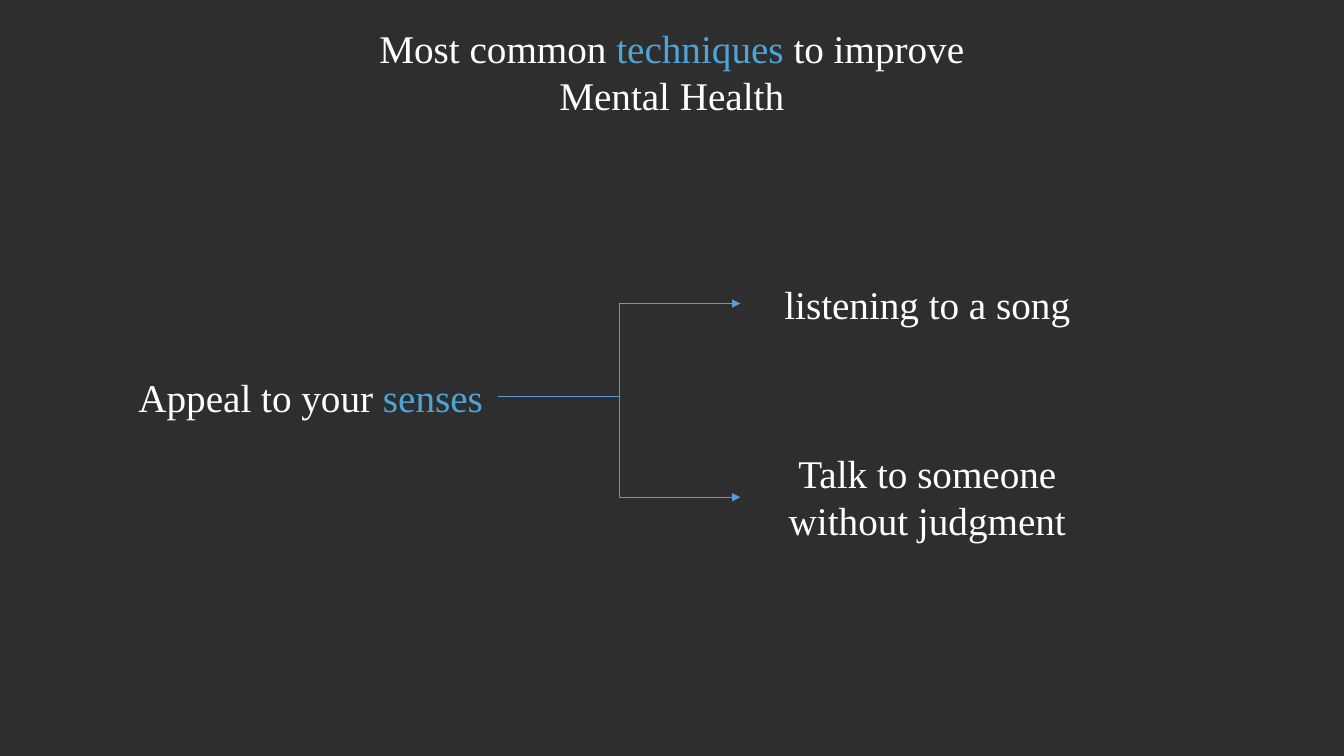
from pptx import Presentation
from pptx.dml.color import RGBColor
from pptx.enum.shapes import MSO_CONNECTOR
from pptx.enum.text import MSO_AUTO_SIZE, PP_ALIGN
from pptx.oxml.ns import qn
from pptx.util import Cm, Pt
from lxml.etree import SubElement

COLORS = {"background": "2F2E2E", "text": "FFFFFF", "accent": "4DA4D9", "arrow": "5B9BD5"}


def rgb(name):
    return RGBColor.from_string(COLORS[name])


class SlideBuilder:
    font = "Times New Roman"
    size = Pt(28)

    def __init__(self, s):
        self.s = s
        fill = s.background.fill
        fill.solid()
        fill.fore_color.rgb = rgb("background")

    def text(self, x, y, w, h, *paragraphs):
        """Each paragraph is a list of (wording, colour name) runs."""
        tf = self.s.shapes.add_textbox(Cm(x), Cm(y), Cm(w), Cm(h)).text_frame
        tf.word_wrap = True
        tf.auto_size = MSO_AUTO_SIZE.SHAPE_TO_FIT_TEXT
        for i, runs in enumerate(paragraphs):
            p = tf.add_paragraph() if i else tf.paragraphs[0]
            p.alignment = PP_ALIGN.CENTER
            for wording, color in runs:
                r = p.add_run()
                r.text = wording
                r.font.name = self.font
                r.font.size = self.size
                r.font.color.rgb = rgb(color)

    def elbow_arrow(self, x1, y1, x2, y2):
        c = self.s.shapes.add_connector(MSO_CONNECTOR.ELBOW, Cm(x1), Cm(y1), Cm(x2), Cm(y2))
        c.line.color.rgb = rgb("arrow")
        c.line.width = Pt(0.5)
        SubElement(c.line._get_or_add_ln(), qn("a:tailEnd"), type="triangle")
        SubElement(c._element.spPr, qn("a:effectLst"))


def main():
    prs = Presentation()
    prs.slide_width, prs.slide_height = Cm(33.87), Cm(19.05)
    slide = SlideBuilder(prs.slides.add_slide(prs.slide_layouts[6]))

    # Title
    slide.text(9.07, 0.48, 15.72, 2.64,
               [("Most common ", "text"), ("techniques", "accent"),
                (" to improve Mental Health", "text")])

    # Root idea and its two branches
    box_w, line_h, two_lines_h = 9.42, 1.45, 2.64
    root_x, branch_x = 3.12, 18.66
    slide.text(root_x, 9.27, box_w, line_h,
               [("Appeal to your ", "text"), ("senses", "accent")])
    slide.text(branch_x, 6.93, box_w, line_h, [("listening to a song", "text")])
    slide.text(branch_x, 11.2, box_w, two_lines_h,
               [("Talk to someone", "text")], [("without judgment", "text")])

    # Arrows from the root to each branch
    for branch_y in (7.65, 12.53):
        slide.elbow_arrow(root_x + box_w, 10, branch_x, branch_y)

    prs.save("out.pptx")


if __name__ == "__main__":
    main()
